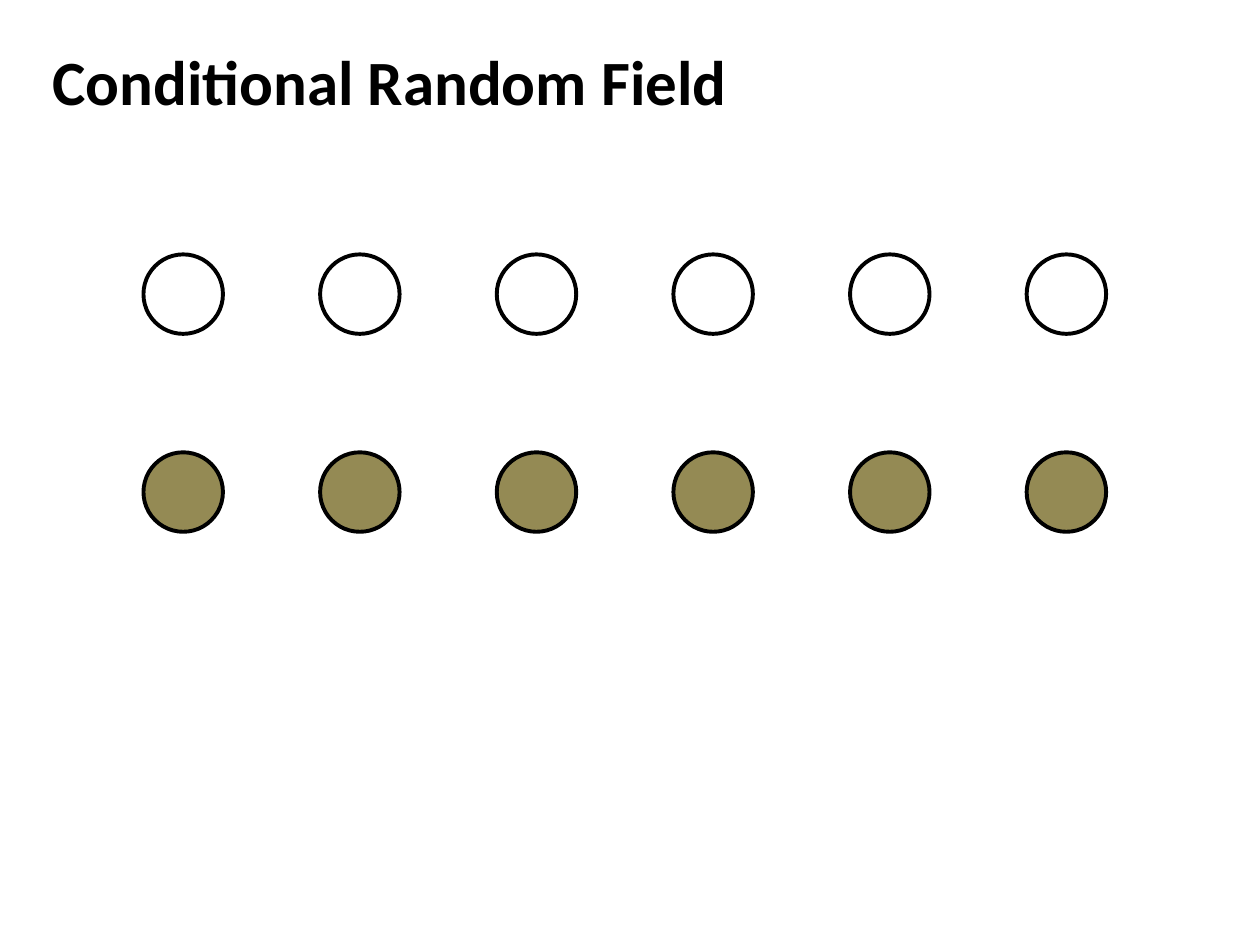
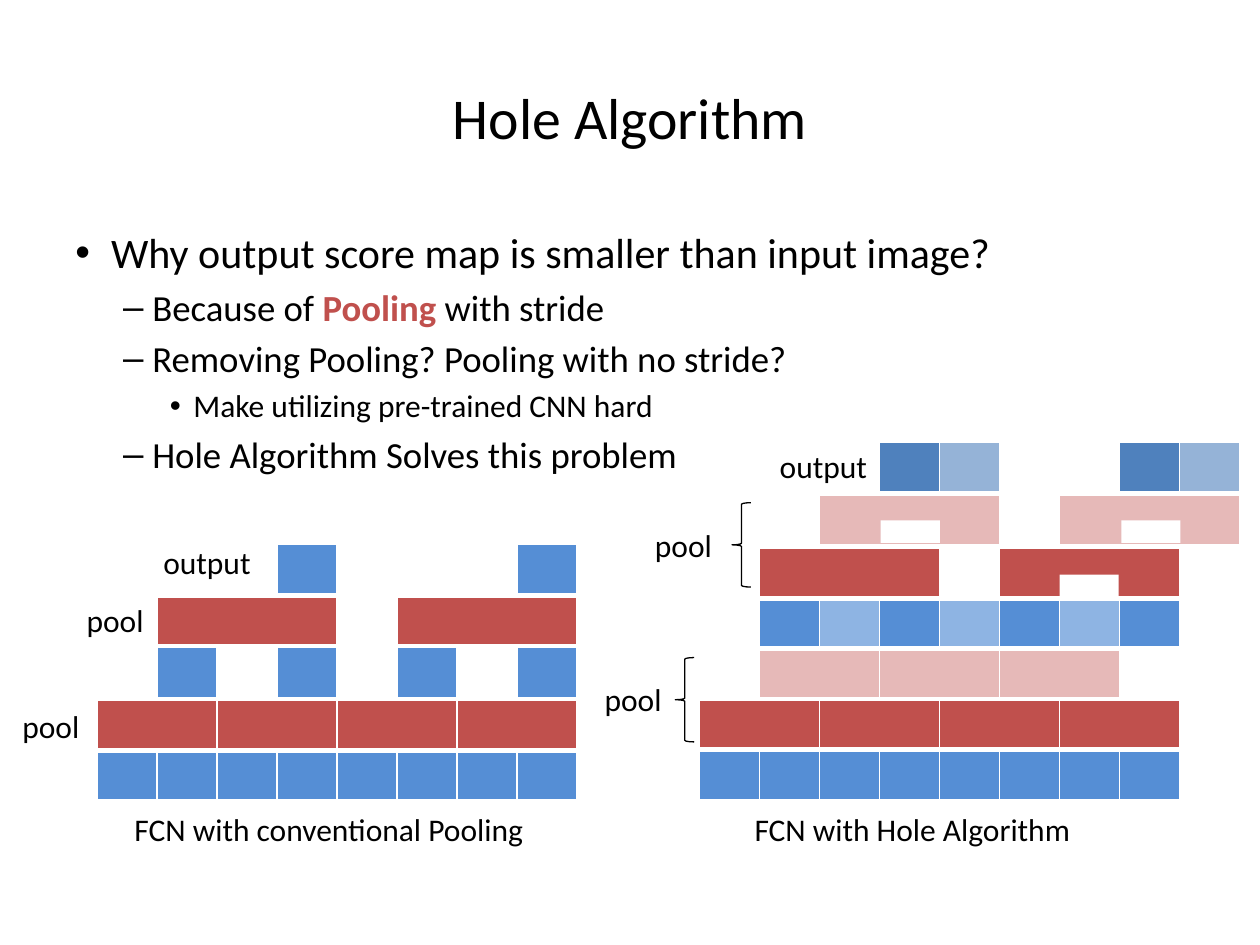
from lxml import etree
from pptx import Presentation
from pptx.dml.color import RGBColor
from pptx.enum.shapes import MSO_SHAPE
from pptx.enum.text import MSO_ANCHOR, MSO_AUTO_SIZE, PP_ALIGN
from pptx.oxml.ns import qn
from pptx.util import Pt

OVAL, RECT, BRACE = MSO_SHAPE.OVAL, MSO_SHAPE.RECTANGLE, MSO_SHAPE.LEFT_BRACE
MIDDLE, TOP = MSO_ANCHOR.MIDDLE, MSO_ANCHOR.TOP
LEFT, CENTER = PP_ALIGN.LEFT, PP_ALIGN.CENTER
GROW, FIXED = MSO_AUTO_SIZE.SHAPE_TO_FIT_TEXT, MSO_AUTO_SIZE.NONE

FONT = "Calibri"
BLACK = RGBColor(0x00, 0x00, 0x00)
WHITE = RGBColor(0xFF, 0xFF, 0xFF)
OLIVE = RGBColor(0x94, 0x8A, 0x54)
RED = RGBColor(0xC0, 0x50, 0x4D)
PINK = RGBColor(0xE6, 0xB9, 0xB8)
BLUE = RGBColor(0x55, 0x8E, 0xD5)
PALE = RGBColor(0x8E, 0xB4, 0xE3)
STEEL = RGBColor(0x4F, 0x81, 0xBD)
MIST = RGBColor(0x95, 0xB3, 0xD7)
FILLS = {"R": RED, "K": PINK, "B": BLUE, "P": PALE, "S": STEEL, "M": MIST}

UNIT = 34.3
ROW = 29.4
EDGES = (("a:lnL", 1), ("a:lnR", 1), ("a:lnT", 1), ("a:lnB", 3))
LEVELS = (("•", 20.4, -20.4, 24), ("–", 44, -16.7, 21), ("•", 67.5, -13.5, 18))

POINTS = (
    (0, [("Why output score map is smaller than input image?", BLACK)]),
    (1, [("Because of ", BLACK), ("Pooling ", RED), ("with stride", BLACK)]),
    (1, [("Removing Pooling? Pooling with no stride?", BLACK)]),
    (2, [("Make utilizing pre-trained CNN hard", BLACK)]),
    (1, [("Hole Algorithm Solves this problem", BLACK)]),
)
PLAIN = {
    "rows": (
        (0, 117.4, "B1 " * 8),
        (0, 88.6, "R2 " * 4),
        (0, 59, "-1 B1 " * 4),
        (0, 28.8, "-1 R3 " * 2),
        (0, 0, "-1 -1 -1 B1 " * 2),
    ),
    "labels": (
        ("FCN with conventional Pooling", 14.4, 148.4, 239.8),
        ("pool", -49.7, 89.3, 47.5),
        ("pool", -13, 28.8, 47.5),
        ("output", 30.9, -4.3, 64.8),
    ),
    "braces": (),
    "gaps": (),
}
HOLE = {
    "rows": (
        (0, 175.7, "B1 " * 8),
        (0, 146.2, "R2 " * 4),
        (0, 117.4, "-1 K2 K2 K2 -1"),
        (0, 88.6, "-1 B1 P1 B1 P1 B1 P1 B1"),
        (0, 59.8, "-1 R3 " * 2),
        (UNIT, 30.3, "-1 K3 " * 2),
        (UNIT, 0, "-1 -1 S1 M1 " * 2),
    ),
    "labels": (
        ("FCN with Hole Algorithm", 24.5, 206.6, 197.3),
        ("pool", -61.2, 132.5, 47.5),
        ("pool", -32.4, 44.6, 47.5),
        ("output", 38.9, -0.7, 64.8),
    ),
    "braces": ((-13.7, 123.1), (18.7, 34.6)),
    "gaps": ((205.9, 75.6), (103.7, 44.6), (241.2, 44.6)),
}


def put_run(para, text, size, color=BLACK, bold=False):
    """Add one styled run to a paragraph."""
    run = para.add_run()
    run.text = text
    font = run.font
    font.name, font.size, font.bold = FONT, Pt(size), bold
    font.color.rgb = color


def text_frame(slide, box, anchor=TOP, wrap=True, fit=FIXED):
    """Add a text box and return its frame."""
    frame = slide.shapes.add_textbox(*map(Pt, box)).text_frame
    frame.word_wrap, frame.auto_size = wrap, fit
    frame.vertical_anchor = anchor
    return frame


def add_title(slide, box, text, size, align=LEFT, bold=False):
    """Add the slide title."""
    para = text_frame(slide, box, MIDDLE).paragraphs[0]
    para.alignment = align
    put_run(para, text, size, bold=bold)


def add_label(slide, box, text):
    """Add a one-line label."""
    frame = text_frame(slide, box, wrap=False, fit=GROW)
    put_run(frame.paragraphs[0], text, 18)


def add_form(slide, kind, box, fill=None, line=None):
    """Add a preset shape, with a fill and a black line if given."""
    form = slide.shapes.add_shape(kind, *map(Pt, box))
    form.shadow.inherit = False
    if fill is None:
        form.fill.background()
    else:
        form.fill.solid()
        form.fill.fore_color.rgb = fill
    if line is None:
        form.line.fill.background()
    else:
        form.line.color.rgb = BLACK
        form.line.width = Pt(line)


def add_nodes(slide, x, y):
    """Draw a row of open nodes above a row of filled ones."""
    for down, fill in ((113.1, OLIVE), (0, None)):
        for col in range(6):
            box = (x + col * 100.94, y + down, 45.4, 45.4)
            add_form(slide, OVAL, box, fill, 2.25)


def add_points(slide, box):
    """Write the bulleted list."""
    frame = text_frame(slide, box)
    for num, (level, parts) in enumerate(POINTS):
        para = frame.add_paragraph() if num else frame.paragraphs[0]
        mark, left, hang, size = LEVELS[level]
        para.level = level
        props = para._p.get_or_add_pPr()
        props.set("marL", str(Pt(left)))
        props.set("indent", str(Pt(hang)))
        etree.SubElement(props, qn("a:buFont"), typeface="Arial")
        etree.SubElement(props, qn("a:buChar"), char=mark)
        para.space_before = Pt(size * 0.2 if num else 0)
        for text, color in parts:
            put_run(para, text, size, color, color == RED)


def style_cell(cell, color):
    """Fill a cell and give it white borders."""
    cell.margin_top = cell.margin_bottom = 0
    if color is None:
        cell.fill.background()
    else:
        cell.fill.solid()
        cell.fill.fore_color.rgb = color
    props = cell._tc.get_or_add_tcPr()
    for spot, (tag, width) in enumerate(EDGES):
        edge = etree.Element(qn(tag), w=str(Pt(width)))
        paint = etree.SubElement(edge, qn("a:solidFill"))
        etree.SubElement(paint, qn("a:srgbClr"), val=str(WHITE))
        props.insert(spot, edge)


def add_strip(slide, x, y, code):
    """Draw one layer as a table; each code is a colour and a span."""
    codes = code.split()
    frame = slide.shapes.add_table(
        1, len(codes), Pt(x), Pt(y), Pt(8 * UNIT), Pt(ROW))
    table = frame.table
    table.first_row = table.horz_banding = False
    for col, (key, span) in enumerate(codes):
        table.columns[col].width = Pt(int(span) * UNIT)
        style_cell(table.cell(0, col), FILLS.get(key))


def add_tower(slide, x, y, plan):
    """Stack the layers of a network with its labels."""
    for right, down, code in plan["rows"]:
        add_strip(slide, x + right, y + down, code)
    for right, down in plan["braces"]:
        add_form(slide, BRACE, (x + right, y + down, 10.8, 48.2), line=0.75)
    for right, down in plan["gaps"]:
        add_form(slide, RECT, (x + right, y + down, 33.8, 13), WHITE)
    for text, right, down, width in plan["labels"]:
        add_label(slide, (x + right, y + down, width, 29), text)


def main():
    """Build both slides."""
    deck = Presentation()
    deck.slide_width, deck.slide_height = Pt(720), Pt(540)
    blank = deck.slide_layouts[6]

    field = deck.slides.add_slide(blank)
    add_title(field, (23, 20.2, 675.4, 51.8), "Conditional Random Field",
              36, bold=True)
    add_nodes(field, 82, 145.4)

    holes = deck.slides.add_slide(blank)
    add_title(holes, (36, 21.6, 648, 90), "Hole Algorithm", 33, CENTER)
    add_points(holes, (36, 126, 648, 153.4))
    add_tower(holes, 55.4, 311, PLAIN)
    add_tower(holes, 399.6, 252.7, HOLE)

    deck.save("out.pptx")


if __name__ == "__main__":
    main()
